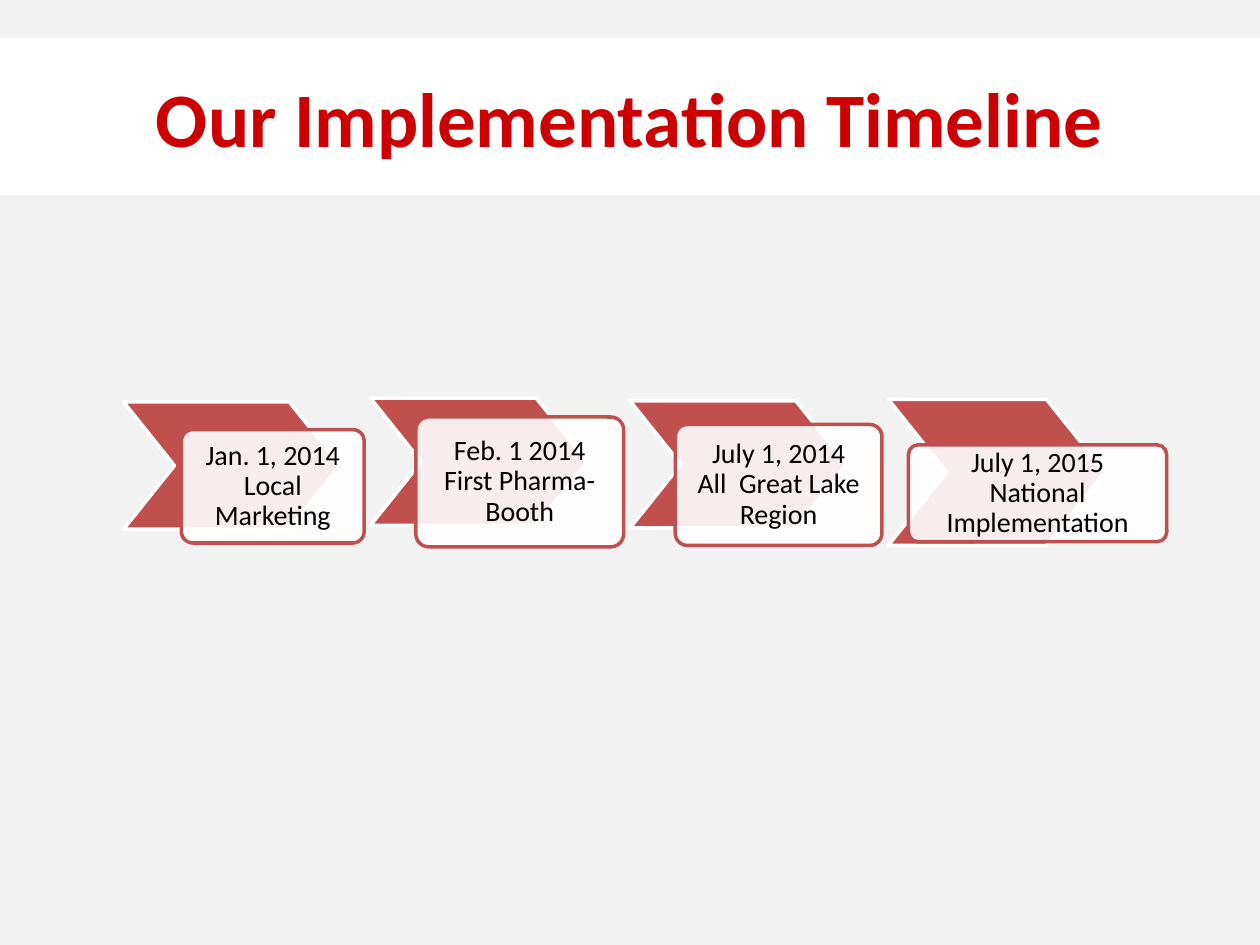
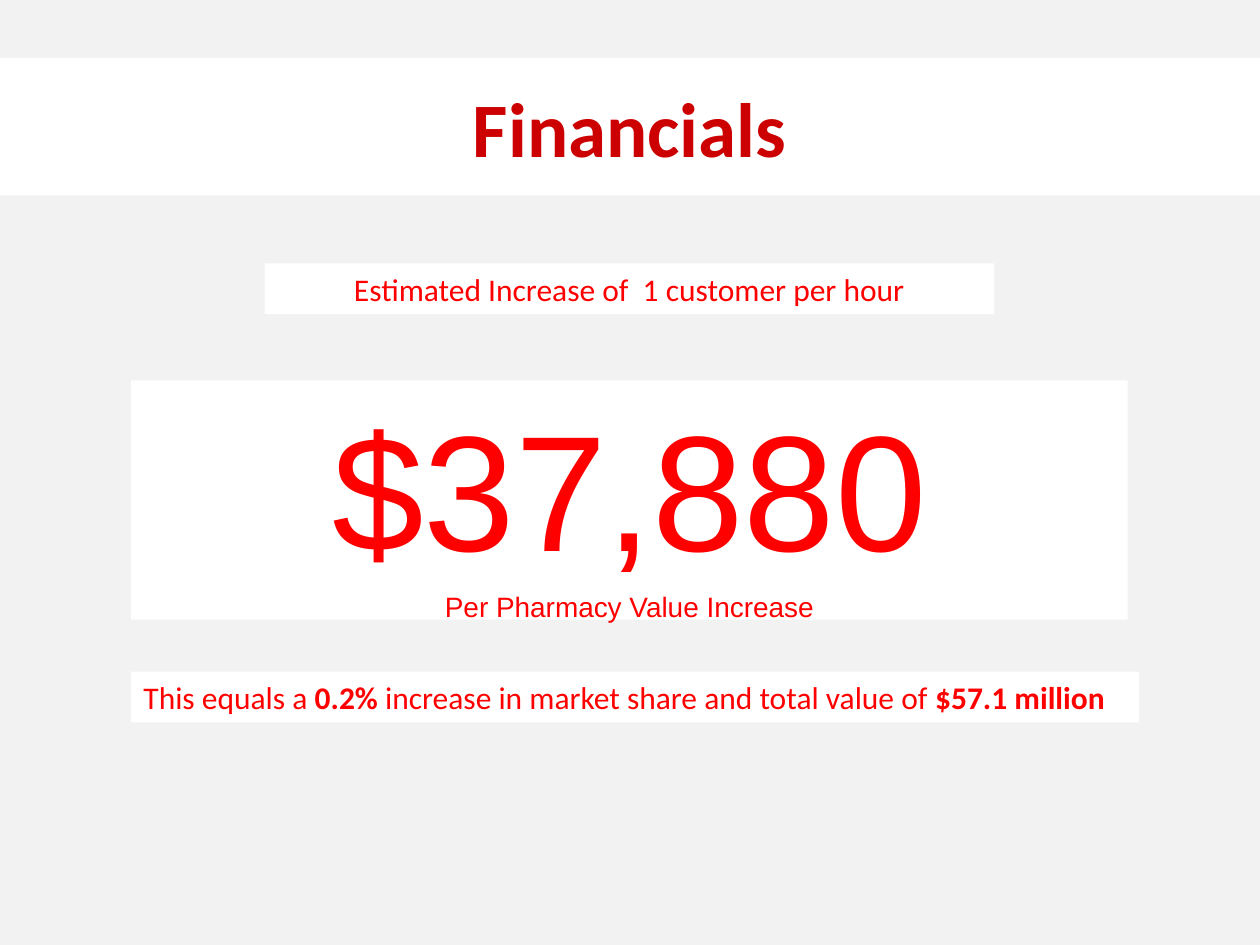
from dataclasses import dataclass

from lxml.etree import SubElement
from pptx import Presentation
from pptx.dml.color import RGBColor
from pptx.enum.shapes import MSO_SHAPE
from pptx.enum.text import MSO_ANCHOR, PP_ALIGN
from pptx.oxml.ns import qn
from pptx.util import Pt


@dataclass(frozen=True)
class Theme:
    background: str = "F2F2F2"
    panel: str = "FFFFFF"
    title: str = "CC0000"
    accent: str = "C0504D"
    highlight: str = "FF0000"
    body: str = "000000"
    font: str = "Calibri"
    figure_font: str = "Arial"
    title_size: float = 44
    figure_size: float = 94
    statement_size: float = 18
    label_size: float = 16
    outline: float = 2
    title_bottom: float = 111.6
    card_inset: float = 8.6


class Deck:
    def __init__(self, theme):
        self.theme = theme
        self.presentation = Presentation()
        self.presentation.slide_width = Pt(720)
        self.presentation.slide_height = Pt(540)
        self.slide = None

    def add_slide(self, title, band_top):
        theme = self.theme
        self.slide = self.presentation.slides.add_slide(self.presentation.slide_layouts[6])
        background = self.slide.background.fill
        background.solid()
        background.fore_color.rgb = RGBColor.from_string(theme.background)
        band = self.panel((0, band_top, 720, theme.title_bottom - band_top))
        self.run(self.paragraph(band), title, theme.title_size, theme.title, bold=True)

    def shape(self, kind, box, fill, line=None, adjustment=None, opacity=None):
        shape = self.slide.shapes.add_shape(kind, *map(Pt, box))
        shape.shadow.inherit = False
        shape.fill.solid()
        shape.fill.fore_color.rgb = RGBColor.from_string(fill)
        if line:
            shape.line.color.rgb = RGBColor.from_string(line)
            shape.line.width = Pt(self.theme.outline)
        else:
            shape.line.fill.background()
        if adjustment is not None:
            shape.adjustments[0] = adjustment
        if opacity is not None:
            color = shape.fill._xPr.find(qn("a:solidFill"))[0]
            SubElement(color, qn("a:alpha")).set("val", str(opacity * 1000))
        shape.text_frame.word_wrap = True
        shape.text_frame.vertical_anchor = MSO_ANCHOR.MIDDLE
        return shape

    def panel(self, box):
        return self.shape(MSO_SHAPE.RECTANGLE, box, self.theme.panel)

    def paragraph(self, shape, align=PP_ALIGN.CENTER, first=True):
        frame = shape.text_frame
        paragraph = frame.paragraphs[0] if first else frame.add_paragraph()
        paragraph.alignment = align
        return paragraph

    def run(self, paragraph, text, size, color, bold=False, font=None):
        run = paragraph.add_run()
        run.text = text
        run.font.name = font or self.theme.font
        run.font.size = Pt(size)
        run.font.bold = bold
        run.font.color.rgb = RGBColor.from_string(color)

    def milestone(self, date, event, arrow, card):
        theme = self.theme
        left, top, height = arrow
        self.shape(MSO_SHAPE.CHEVRON, (left, top, 123.8, height),
                   theme.accent, theme.panel, adjustment=0.4)
        label = self.shape(MSO_SHAPE.ROUNDED_RECTANGLE, card, theme.panel,
                           theme.accent, adjustment=0.1, opacity=90)
        frame = label.text_frame
        frame.margin_left = frame.margin_right = Pt(theme.card_inset)
        frame.margin_top = frame.margin_bottom = Pt(theme.card_inset)
        paragraph = self.paragraph(label)
        paragraph.line_spacing = 0.9
        self.run(paragraph, date, theme.label_size, theme.body)
        paragraph.add_line_break()
        self.run(paragraph, event, theme.label_size, theme.body)

    def statement(self, box, parts, align=PP_ALIGN.CENTER):
        paragraph = self.paragraph(self.panel(box), align)
        for text, bold in parts:
            self.run(paragraph, text, self.theme.statement_size, self.theme.highlight, bold)

    def key_figure(self, box, amount, caption):
        theme = self.theme
        panel = self.panel(box)
        panel.text_frame.vertical_anchor = MSO_ANCHOR.TOP
        self.run(self.paragraph(panel), amount, theme.figure_size,
                 theme.highlight, font=theme.figure_font)
        note = self.paragraph(panel, first=False)
        note.space_before = Pt(3.2)
        self.run(note, caption, theme.label_size, theme.highlight, font=theme.figure_font)


def main():
    deck = Deck(Theme())

    deck.add_slide("Our Implementation Timeline", 21.6)
    milestones = [
        ("Jan. 1, 2014", "Local Marketing",
         (70.6, 229.7, 72.7), (103.7, 245.5, 104.4, 64.8)),
        ("Feb. 1 2014", "First Pharma-Booth",
         (211.7, 227.5, 72.7), (237.6, 238.3, 118.8, 74.2)),
        ("July 1, 2014", "All  Great Lake Region",
         (360, 229, 72.7), (385.9, 242.6, 118.1, 69.1)),
        ("July 1, 2015", "National Implementation",
         (507.6, 228.2, 83.5), (519.1, 254.2, 147.6, 55.4)),
    ]
    for milestone in milestones:
        deck.milestone(*milestone)

    deck.add_slide("Financials", 33.1)
    deck.key_figure((74.9, 217.4, 569.5, 136.8), "$37,880", "Per Pharmacy Value Increase")
    deck.statement((151.2, 150.5, 416.9, 29),
                   [("Estimated Increase of  1 customer per hour", False)])
    deck.statement((74.9, 383.8, 576, 29),
                   [("This equals a ", False), ("0.2% ", True),
                    ("increase in market share and total value of ", False),
                    ("$57.1 million", True)], PP_ALIGN.LEFT)

    deck.presentation.save("out.pptx")


if __name__ == "__main__":
    main()
